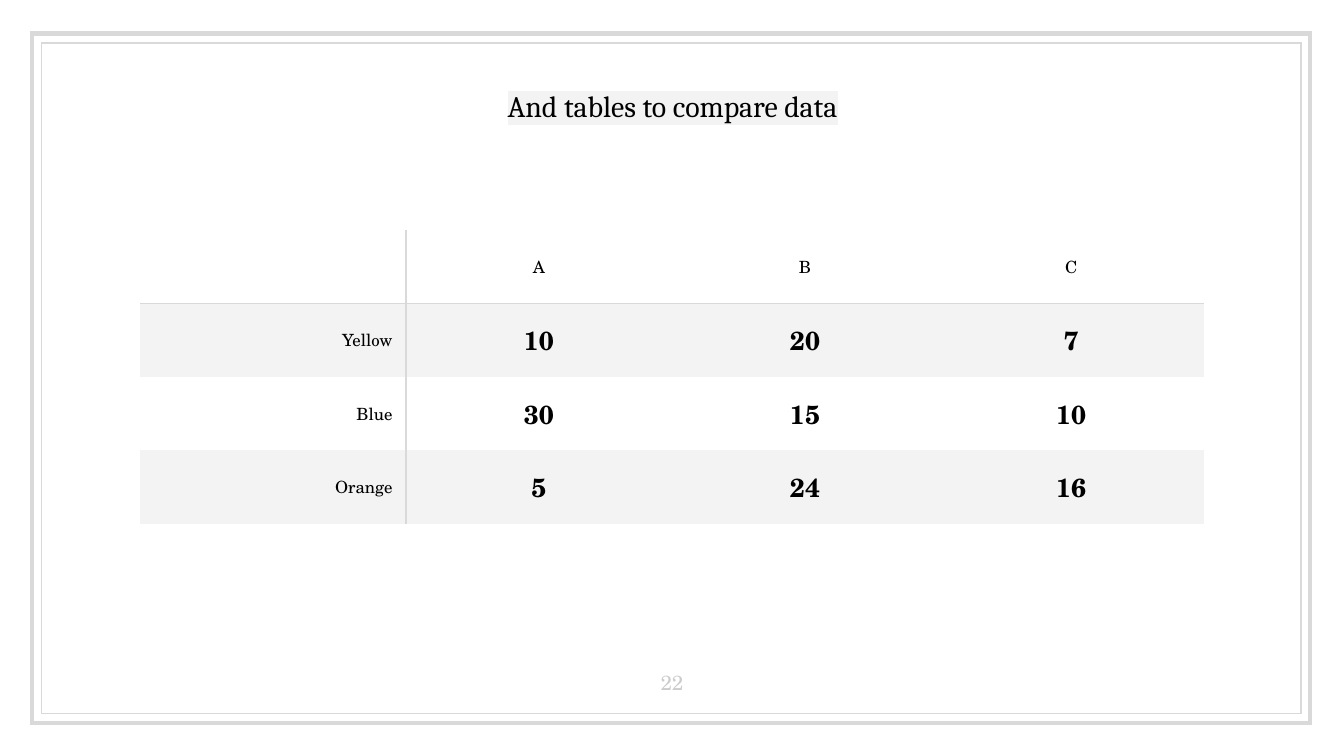
from lxml import etree
from pptx import Presentation
from pptx import util as u
from pptx.dml.color import RGBColor
from pptx.enum import shapes, text
from pptx.oxml import ns

SERIF = "TeX Gyre Schola"
BLACK, GREY, PALE, WHITE = "000000", "D9D9D9", "F3F3F3", "FFFFFF"
ROWS = [
    ["", "A", "B", "C"],
    ["Yellow", "10", "20", "7"],
    ["Blue", "30", "15", "10"],
    ["Orange", "5", "24", "16"],
]


def rgb(color):
    return RGBColor.from_string(color)


def inches(*box):
    return [u.Inches(n) for n in box]


def set_margins(obj, x, y):
    obj.margin_left = obj.margin_right = u.Inches(x)
    obj.margin_top = obj.margin_bottom = u.Inches(y)


def add_run(p, words, size, color=BLACK, font=SERIF, bold=False):
    r = p.add_run()
    r.text = words
    r.font.size = u.Pt(size)
    r.font.name = font
    r.font.bold = bold
    r.font.color.rgb = rgb(color)
    return r


def highlight(r, color):
    fill = r.font._element.find(ns.qn("a:solidFill"))
    mark = etree.Element(ns.qn("a:highlight"))
    etree.SubElement(mark, ns.qn("a:srgbClr"), val=color)
    fill.addnext(mark)


def add_frame(s, x, y, w, h):
    gap = 0.07
    for inset, weight in ((0, 2.25), (gap, 0.75)):
        box = inches(x + inset, y + inset, w - 2 * inset, h - 2 * inset)
        sp = s.shapes.add_shape(shapes.MSO_SHAPE.RECTANGLE, *box)
        sp.shadow.inherit = False
        sp.fill.background()
        sp.line.color.rgb = rgb(GREY)
        sp.line.width = u.Pt(weight)
        ln = sp.line._get_or_add_ln()
        etree.SubElement(ln, ns.qn("a:miter"), lim="800000")


def add_title(s, words, x, y, w, h):
    sp = s.shapes.title
    sp.left, sp.top, sp.width, sp.height = inches(x, y, w, h)
    tf = sp.text_frame
    tf.vertical_anchor = text.MSO_ANCHOR.MIDDLE
    set_margins(tf, 0.1, 0.1)
    p = tf.paragraphs[0]
    p.alignment = text.PP_ALIGN.CENTER
    highlight(add_run(p, words, 16, font="Cambria"), PALE)


def set_borders(cell, visible):
    tcPr = cell._tc.get_or_add_tcPr()
    for side in "LRTB":
        ln = etree.SubElement(tcPr, ns.qn("a:ln" + side), w=str(u.Pt(0.75)))
        if side in visible:
            fill = etree.SubElement(ln, ns.qn("a:solidFill"))
            etree.SubElement(fill, ns.qn("a:srgbClr"), val=GREY)
        else:
            etree.SubElement(ln, ns.qn("a:noFill"))


def add_data_table(s, rows, x, y, w, h):
    box = inches(x, y, w, h)
    table = s.shapes.add_table(len(rows), len(rows[0]), *box).table
    table.first_row = table.horz_banding = False
    for i, row in enumerate(rows):
        for j, words in enumerate(row):
            cell = table.cell(i, j)
            sides = {0: "R", 1: "L"}.get(j, "") + {0: "B", 1: "T"}.get(i, "")
            set_borders(cell, sides)
            if i == 0:
                cell.fill.background()
            else:
                cell.fill.solid()
                cell.fill.fore_color.rgb = rgb(PALE if i % 2 else WHITE)
            set_margins(cell, 0.1, 0.07)
            cell.vertical_anchor = text.MSO_ANCHOR.MIDDLE
            p = cell.text_frame.paragraphs[0]
            p.alignment = text.PP_ALIGN.CENTER if j else text.PP_ALIGN.RIGHT
            if words:
                is_value = i > 0 and j > 0
                add_run(p, words, 14 if is_value else 9, bold=is_value)


def add_page_number(s, number, x, y, w, h):
    tf = s.shapes.add_textbox(*inches(x, y, w, h)).text_frame
    tf.word_wrap = True
    tf.vertical_anchor = text.MSO_ANCHOR.BOTTOM
    set_margins(tf, 0.1, 0.1)
    p = tf.paragraphs[0]
    p.alignment = text.PP_ALIGN.CENTER
    add_run(p, number, 11, "CCCCCC")


def main():
    prs = Presentation()
    prs.slide_width, prs.slide_height = inches(10, 10 * 9 / 16)
    s = prs.slides.add_slide(prs.slide_layouts[5])
    add_frame(s, 0.24, 0.25, 9.51, 5.13)
    add_title(s, "And tables to compare data", 0.43, 0.37, 9.15, 0.83)
    add_data_table(s, ROWS, 1.04, 1.71, 7.92, 2.19)
    add_page_number(s, "22", 4.7, 4.83, 0.6, 0.43)
    prs.save("out.pptx")


if __name__ == "__main__":
    main()
